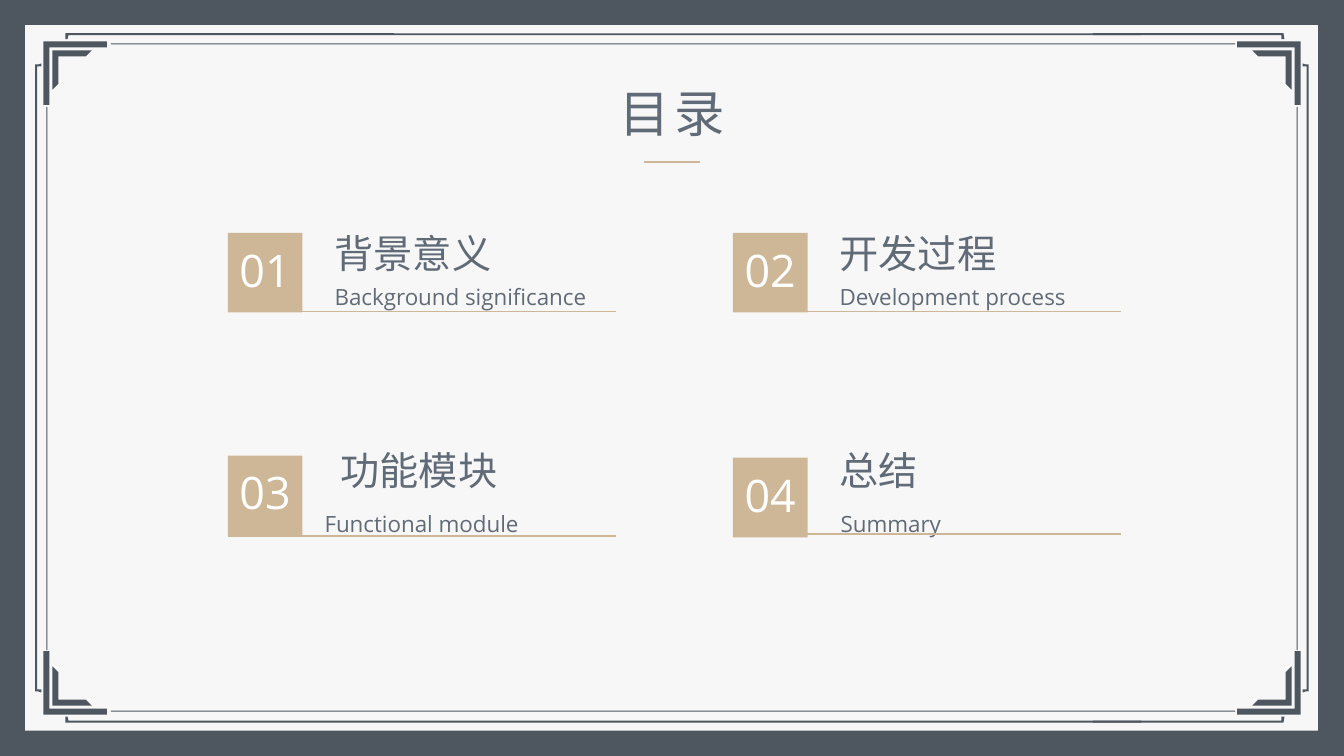
"""Build a contents slide with a cornered frame and four numbered topics."""
from dataclasses import dataclass, field
from typing import Any

from lxml import etree
from pptx import Presentation
from pptx.dml.color import RGBColor
from pptx.enum.shapes import MSO_CONNECTOR, MSO_SHAPE
from pptx.enum.text import MSO_ANCHOR, MSO_AUTO_SIZE, PP_ALIGN
from pptx.oxml.ns import qn
from pptx.util import Pt

PX = 9144
WIDE, HIGH = 1333, 750
RECT, LINE = MSO_SHAPE.RECTANGLE, MSO_CONNECTOR.STRAIGHT
TOP, MID = MSO_ANCHOR.TOP, MSO_ANCHOR.MIDDLE
GROW, FIXED = MSO_AUTO_SIZE.SHAPE_TO_FIT_TEXT, MSO_AUTO_SIZE.NONE
LEFT, CENTER = PP_ALIGN.LEFT, PP_ALIGN.CENTER
COLORS = {"slate": "4E5760", "paper": "F7F7F7", "text": "616B77", "sand": "CDB797", "white": "FFFFFF"}

Point = tuple[int, int]
Box = tuple[int, int, int, int]


@dataclass(frozen=True)
class Style:
    """Format values for one kind of text."""
    color: str
    font: dict[str, Any]
    frame: dict[str, Any]
    para: dict[str, Any] = field(default_factory=dict)


@dataclass(frozen=True)
class Topic:
    """One numbered entry of the contents."""
    mark: str
    name: str
    gloss: str
    tile: Point
    head: Point
    sub: Point
    rule: int


TITLE = Style("text", {"size": Pt(36), "name": "Noto Sans CJK SC"},
              {"word_wrap": False, "auto_size": GROW, "vertical_anchor": TOP}, {"alignment": CENTER})
NAME = Style("text", {"size": Pt(28), "name": "Arial"},
             {"word_wrap": False, "auto_size": GROW, "vertical_anchor": MID}, {"alignment": LEFT})
GLOSS = Style("text", {"size": Pt(16), "name": "Open Sans"},
              {"word_wrap": True, "auto_size": FIXED, "vertical_anchor": MID}, {"line_spacing": 1.3})
MARK = Style("white", {"size": Pt(32), "name": "Open Sans"},
             {"word_wrap": True, "vertical_anchor": MID, "margin_left": 0, "margin_right": 0,
              "margin_top": 0, "margin_bottom": 0},
             {"alignment": CENTER, "line_spacing": 0.9, "space_before": Pt(10)})

TOPICS = [
    Topic("01", "背景意义", "Background significance", (226, 231), (322, 222), (322, 276), 309),
    Topic("02", "开发过程", "Development process", (727, 231), (823, 222), (823, 276), 309),
    Topic("03", "功能模块", "Functional module", (226, 452), (328, 438), (312, 501), 532),
    Topic("04", "总结", "Summary", (727, 454), (823, 438), (824, 501), 530),
]

SIDE = [(37, 684), (37, 66), (41, 66), (41, 63), (38, 64), (35, 64),
        (35, 686), (38, 686), (41, 687), (41, 684)]
ENDS = [[(65, 33), (391, 33), (391, 35), (68, 35), (67, 39), (65, 39)],
        [(1084, 33), (1273, 33), (1274, 39), (1271, 39), (1271, 35), (1084, 35)]]
CORNERS = [[(106, 41), (43, 41), (43, 104), (49, 104), (49, 47), (106, 47)],
           [(85, 56), (91, 50), (52, 50), (52, 89), (58, 83), (58, 56)]]
BARS = [(391, 33, 741, 2), (391, 715, 741, 2), (1286, 106, 1, 539), (46, 106, 1, 539),
        (110, 43, 1115, 1), (110, 705, 1115, 1)]


def paint(shape: Any, color: str) -> None:
    """Give a shape a flat fill without line or shadow."""
    shape.fill.solid()
    shape.fill.fore_color.rgb = RGBColor.from_string(COLORS[color])
    shape.line.fill.background()
    shape.shadow.inherit = False


def block(shapes: Any, box: Box, color: str) -> Any:
    """Add a flat rectangle."""
    shape = shapes.add_shape(RECT, *(v * PX for v in box))
    paint(shape, color)
    return shape


def outline(shapes: Any, points: list[Point], flip_x: bool = False, flip_y: bool = False) -> None:
    """Add a closed outline, mirrored across the slide if asked."""
    spots = [(WIDE - x if flip_x else x, HIGH - y if flip_y else y) for x, y in points]
    pen = shapes.build_freeform(*spots[0], scale=PX)
    pen.add_line_segments(spots[1:], close=True)
    paint(pen.convert_to_shape(), "slate")


def rule(shapes: Any, left: int, top: int, width: int, weight: float) -> None:
    """Add a level sand line."""
    line = shapes.add_connector(LINE, left * PX, top * PX, (left + width) * PX, top * PX)
    line.line.color.rgb = RGBColor.from_string(COLORS["sand"])
    line.line.width = Pt(weight)
    etree.SubElement(line._element.spPr, qn("a:effectLst"))


def write(shape: Any, text: str, style: Style) -> Any:
    """Put styled text in a shape and return its run."""
    frame = shape.text_frame
    para = frame.paragraphs[0]
    run = para.add_run()
    run.text = text
    for target, values in ((frame, style.frame), (para, style.para), (run.font, style.font)):
        for key, value in values.items():
            setattr(target, key, value)
    run.font.color.rgb = RGBColor.from_string(COLORS[style.color])
    return run


def label(shapes: Any, box: Box, text: str, style: Style) -> None:
    """Add a text box."""
    write(shapes.add_textbox(*(v * PX for v in box)), text, style)


def draw_frame(shapes: Any) -> None:
    """Draw the border and its corners."""
    block(shapes, (0, 0, WIDE, HIGH), "slate")
    block(shapes, (25, 25, 1282, 700), "paper")
    for flip_x in (False, True):
        outline(shapes, SIDE, flip_x)
    for bar in BARS:
        block(shapes, bar, "slate")
    for flip_y in (False, True):
        for end in ENDS:
            outline(shapes, end, flip_y=flip_y)
        for flip_x in (False, True):
            for corner in CORNERS:
                outline(shapes, corner, flip_x, flip_y)


def draw_topic(shapes: Any, topic: Topic) -> None:
    """Draw one numbered topic."""
    label(shapes, (*topic.head, 98 if len(topic.name) == 2 else 176, 57), topic.name, NAME)
    label(shapes, (*topic.sub, 355, 29), topic.gloss, GLOSS)
    write(block(shapes, (*topic.tile, 74, 79), "sand"), topic.mark, MARK)
    rule(shapes, topic.tile[0], topic.rule, 385, 1.25)


def draw_title(shapes: Any) -> None:
    """Set the title above the frame and underline it."""
    title = shapes.title
    shapes._spTree.append(title._element)
    for key, value in zip(("left", "top", "width", "height"), (602, 76, 130, 71)):
        setattr(title, key, value * PX)
    props = write(title, "目录", TITLE)._r.get_or_add_rPr()
    props.set("spc", "300")
    etree.SubElement(props, qn("a:ea")).set("typeface", TITLE.font["name"])
    rule(shapes, 639, 161, 55, 1.5)


def main() -> None:
    """Build and save the slide."""
    deck = Presentation()
    deck.slide_width, deck.slide_height = WIDE * PX, HIGH * PX
    shapes = deck.slides.add_slide(deck.slide_layouts[5]).shapes
    draw_frame(shapes)
    for topic in TOPICS:
        draw_topic(shapes, topic)
    draw_title(shapes)
    deck.save("out.pptx")


if __name__ == "__main__":
    main()
